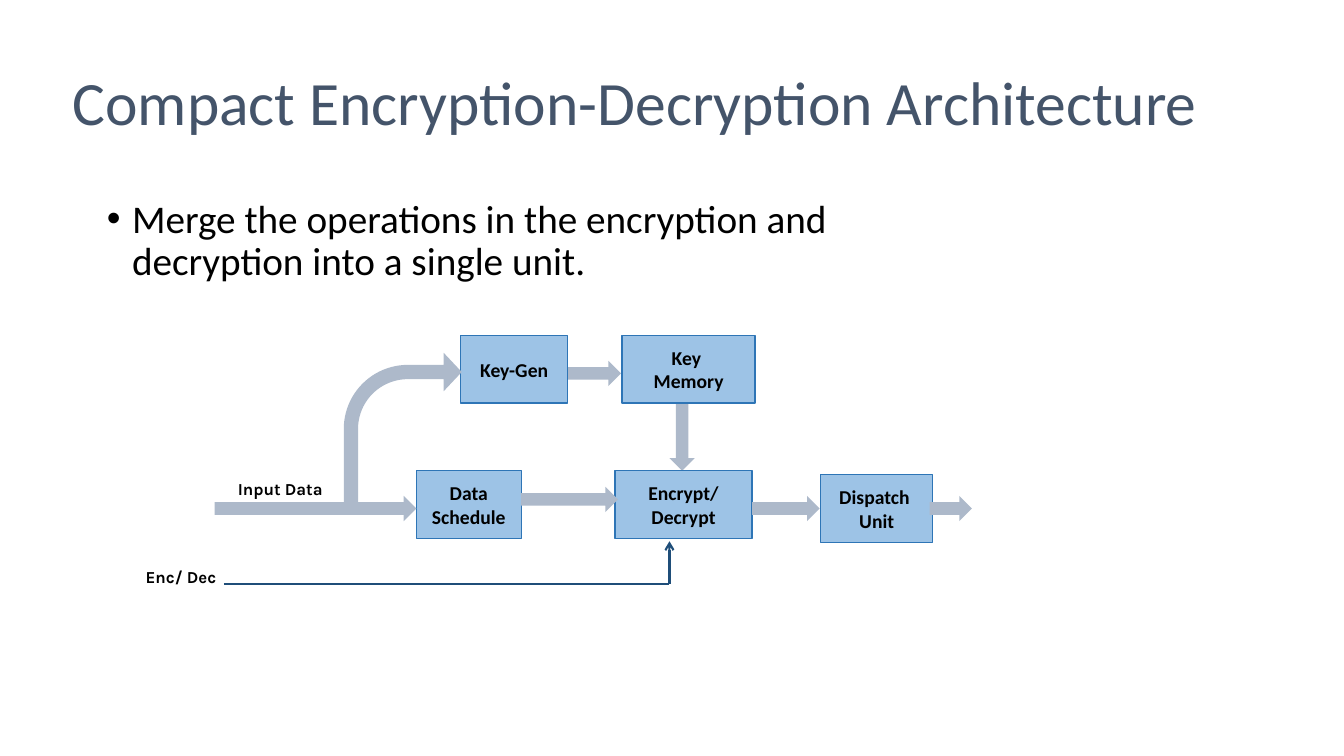
from lxml import etree
from pptx import Presentation
from pptx import util as u
from pptx.dml.color import RGBColor
from pptx.enum import shapes, text
from pptx.oxml.ns import qn

PX = 9144  # EMU per px, 100 px to the inch

SLATE = RGBColor(0x44, 0x54, 0x6A)
BLACK = RGBColor(0x00, 0x00, 0x00)
UNIT_BLUE = RGBColor(0x9D, 0xC3, 0xE6)
UNIT_EDGE = RGBColor(0x2E, 0x75, 0xB6)
FLOW_GREY = RGBColor(0xAD, 0xB9, 0xCA)
SIGNAL_BLUE = RGBColor(0x1F, 0x4E, 0x79)

TITLE_FONT = {"name": "Calibri", "size": u.Pt(44)}
BULLET_FONT = {"name": "Calibri", "size": u.Pt(28)}
UNIT_FONT = {"name": "Calibri", "size": u.Pt(14), "bold": True}
LABEL_FONT = {"name": "Karla", "size": u.Pt(12), "bold": True}

RIGHT = shapes.MSO_SHAPE.RIGHT_ARROW
DOWN = shapes.MSO_SHAPE.DOWN_ARROW
BENT = shapes.MSO_SHAPE.BENT_ARROW

UNITS = [
    (("Key-Gen",), 457, 333, 106),
    (("Key ", "Memory"), 617, 333, 132),
    (("Encrypt/", "Decrypt"), 610, 467, 136),
    (("Dispatch ", "Unit"), 814, 471, 111),
    (("Data", "Schedule"), 413, 467, 104),
]
UNIT_HEIGHT = 67

KEY_FLOWS = [
    (DOWN, 664, 385, 25, 82),
    (RIGHT, 563, 358, 53, 25),
]
DATA_FLOWS = [
    (RIGHT, 213, 492, 200, 25),
    (RIGHT, 517, 483, 96, 25),
    (RIGHT, 746, 492, 67, 25),
    (BENT, 341, 350, 117, 158, (0.121, 0.163, 0.153, 0.543)),
    (RIGHT, 922, 492, 42, 25),
]
LABELS = [
    ("Input Data", 189, 470, 178),
    ("Enc/ Dec", 120, 557, 119),
]
LABEL_HEIGHT = 30


def px(*lengths):
    return [u.Emu(length * PX) for length in lengths]


def set_all(target, values):
    for name, value in values.items():
        setattr(target, name, value)


def style_paragraph(paragraph, font, color, align):
    set_all(paragraph, {"alignment": align, "space_before": u.Pt(0)})
    set_all(paragraph.font, font)
    paragraph.font.color.rgb = color


def fill_placeholder(placeholder, wording, box, anchor, font, color, bullet=False):
    sides = ("left", "top", "width", "height")
    set_all(placeholder, dict(zip(sides, px(*box))))
    frame = placeholder.text_frame
    frame.text = wording
    set_all(frame, {"word_wrap": True, "vertical_anchor": anchor,
                    "auto_size": text.MSO_AUTO_SIZE.NONE})
    paragraph = frame.paragraphs[0]
    if bullet:
        props = paragraph._p.get_or_add_pPr()
        props.set("marL", str(25 * PX))
        props.set("indent", str(-25 * PX))
        etree.SubElement(props, qn("a:buFont")).set("typeface", "Arial")
        etree.SubElement(props, qn("a:buChar")).set("char", "•")
    paragraph.line_spacing = 0.9
    style_paragraph(paragraph, font, color, text.PP_ALIGN.LEFT)


def add_unit(slide, lines, left, top, width):
    unit = slide.shapes.add_shape(shapes.MSO_SHAPE.RECTANGLE,
                                  *px(left, top, width, UNIT_HEIGHT))
    unit.shadow.inherit = False
    unit.fill.solid()
    unit.fill.fore_color.rgb = UNIT_BLUE
    unit.line.color.rgb = UNIT_EDGE
    unit.line.width = u.Pt(1)
    frame = unit.text_frame
    frame.text = "\n".join(lines)
    set_all(frame, {"word_wrap": False, "vertical_anchor": text.MSO_ANCHOR.MIDDLE})
    for paragraph in frame.paragraphs:
        style_paragraph(paragraph, UNIT_FONT, BLACK, text.PP_ALIGN.CENTER)


def add_flow(slide, kind, left, top, width, height, bend=()):
    """Add a grey block arrow; bend holds the adjustments of a bent one."""
    flow = slide.shapes.add_shape(kind, *px(left, top, width, height))
    flow.shadow.inherit = False
    flow.fill.solid()
    flow.fill.fore_color.rgb = FLOW_GREY
    flow.line.fill.background()
    for index, value in enumerate(bend):
        flow.adjustments[index] = value


def add_label(slide, wording, left, top, width):
    label = slide.shapes.add_textbox(*px(left, top, width, LABEL_HEIGHT))
    frame = label.text_frame
    frame.text = wording
    set_all(frame, {"word_wrap": True,
                    "auto_size": text.MSO_AUTO_SIZE.SHAPE_TO_FIT_TEXT})
    style_paragraph(frame.paragraphs[0], LABEL_FONT, BLACK, text.PP_ALIGN.CENTER)


def add_signal(slide, start, end, arrow=False):
    signal = slide.shapes.add_connector(shapes.MSO_CONNECTOR.STRAIGHT,
                                        *px(*start, *end))
    signal.line.color.rgb = SIGNAL_BLUE
    signal.line.width = u.Pt(1.5)
    if arrow:
        line = signal.line._get_or_add_ln()
        etree.SubElement(line, qn("a:tailEnd")).set("type", "arrow")
    etree.SubElement(signal._element.spPr, qn("a:effectLst"))


def main():
    deck = Presentation()
    deck.slide_width, deck.slide_height = px(1333, 750)
    slide = deck.slides.add_slide(deck.slide_layouts[1])

    fill_placeholder(slide.shapes.title, "Compact Encryption-Decryption Architecture",
                     (62, 32, 1150, 145), text.MSO_ANCHOR.MIDDLE, TITLE_FONT, SLATE)
    fill_placeholder(slide.placeholders[1],
                     "Merge the operations in the encryption and decryption "
                     "into a single unit.",
                     (96, 193, 820, 525), text.MSO_ANCHOR.TOP, BULLET_FONT, BLACK,
                     bullet=True)

    for flow in KEY_FLOWS:
        add_flow(slide, *flow)
    for unit in UNITS:
        add_unit(slide, *unit)
    for label in LABELS:
        add_label(slide, *label)
    for flow in DATA_FLOWS:
        add_flow(slide, *flow)

    corner = (664, 579)
    add_signal(slide, (222, 579), corner)
    add_signal(slide, corner, (664, 537), arrow=True)

    deck.save("out.pptx")


if __name__ == "__main__":
    main()
